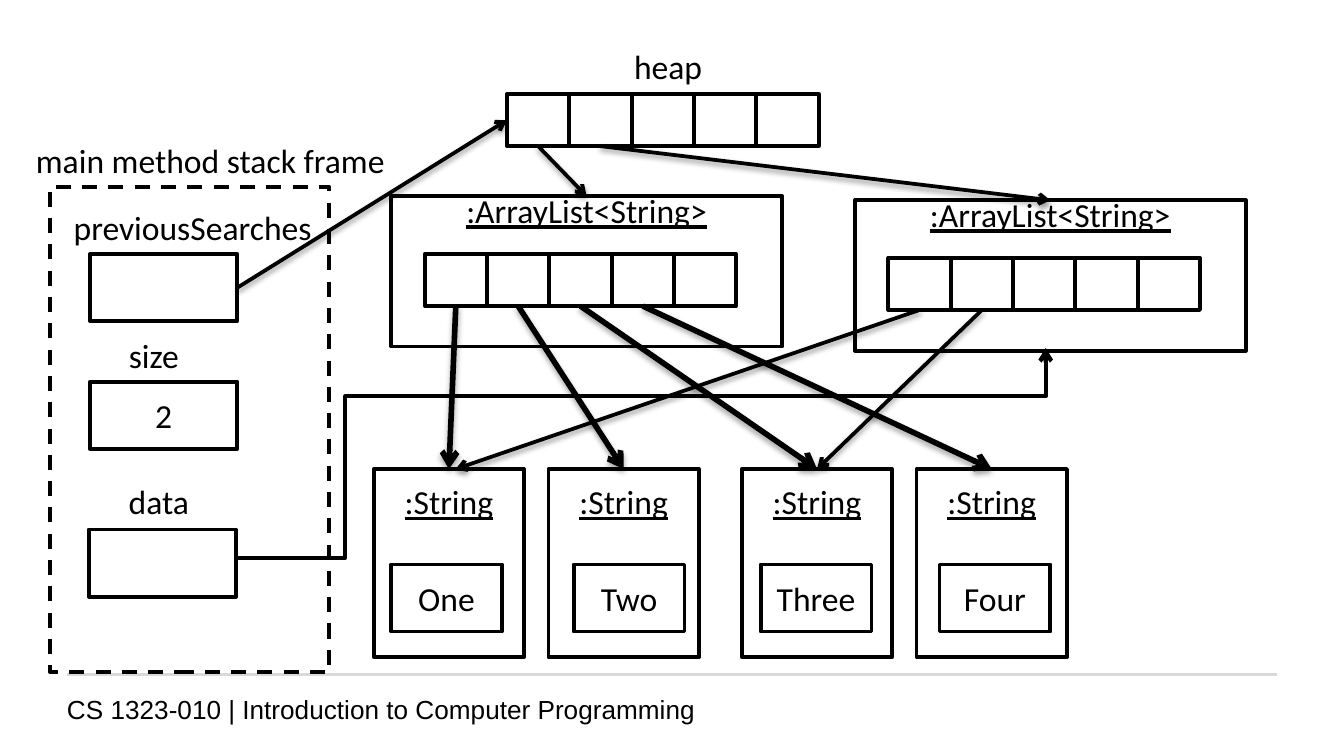
import pptx
import pptx.util
import pptx.dml.color
import pptx.enum.dml
import pptx.enum.shapes
import pptx.enum.text
import pptx.oxml
import pptx.oxml.ns

Pt = pptx.util.Pt
ANCHOR = pptx.enum.text.MSO_ANCHOR
ALIGN = pptx.enum.text.PP_ALIGN
AUTO = pptx.enum.text.MSO_AUTO_SIZE
TOP, LEFT, BOTTOM, RIGHT = range(4)

BLACK, WHITE, GREY = "000000", "FFFFFF", "D9D9D9"
BODY = {"name": "Calibri", "size": Pt(18)}
UNDERLINED = {**BODY, "underline": True}
FOOTER_FONT = {"name": "Arial", "size": Pt(14)}

FOOTER = ("CS 1323-010 | Introduction to Computer Programming", 28.8, 367.9, 648, 15.1)
RULE = (36, 361.4, 684, 361.4)
FRAME = (26.6, 100.1, 149.8, 259.9)
LABELS = [
    ("main method stack frame", 12.2, 71.3, 204.5),
    ("previousSearches", 32.4, 107.3, 144),
    ("size", 61.9, 175.7, 41.8),
    ("data", 61.9, 254.2, 47.5),
    ("heap", 332.6, 20.9, 51.1),
]
FIELDS = {
    "previousSearches": ("", 48.2, 136.1),
    "size": ("2", 48.2, 204.5),
    "data": ("", 47.5, 283.7),
}
FIELD_SIZE = (79, 36)
LISTS = {"first": (209.5, 105.1), "second": (457.9, 107.3)}
LIST_SIZE = (209.5, 80.6)
ARRAYS = {"first": (227.5, 136.1), "second": (475.9, 138.2), "heap": (271.6, 50.4)}
CELL_COUNT, CELL_SIZE = 5, (33.4, 27.9)
STRINGS = [("One", 200.2, 209.5), ("Two", 293.8, 307.4),
           ("Three", 397.4, 407.5), ("Four", 491, 503.3)]
STRING_TOP, STRING_SIZE = 251.3, (80.6, 100.8)
VALUE_TOP, VALUE_SIZE = 302.4, (59.4, 36)
HEADING_SPACE = 66
DATA_PATH = [(126.7, 298.8), (185, 298.8), (185, 212.4), (560.2, 212.4), (560.2, 186.5)]


def color(hex_value):
    return pptx.dml.color.RGBColor.from_string(hex_value)


def apply(target, values):
    for name, value in values.items():
        setattr(target, name, value)


def write(sp, text, font, frame, align):
    tf = sp.text_frame
    apply(tf, frame)
    p = tf.paragraphs[0]
    p.alignment = align
    r = p.add_run()
    r.text = text
    apply(r.font, font)
    r.font.color.rgb = color(BLACK)


def add_label(s, text, x, y, w, h, font, **frame):
    sp = s.shapes.add_textbox(Pt(x), Pt(y), Pt(w), Pt(h))
    write(sp, text, font, frame, ALIGN.LEFT)


def add_box(s, x, y, w, h, text="", font=BODY, fill=WHITE, **frame):
    sp = s.shapes.add_shape(pptx.enum.shapes.MSO_SHAPE.RECTANGLE, Pt(x), Pt(y), Pt(w), Pt(h))
    sp.shadow.inherit = False
    if fill:
        sp.fill.solid()
        sp.fill.fore_color.rgb = color(fill)
    else:
        sp.fill.background()
    set_line(sp, BLACK, 2)
    if text:
        write(sp, text, font, {"vertical_anchor": ANCHOR.MIDDLE, **frame}, ALIGN.CENTER)
    return sp


def add_heading_box(s, x, y, size, text):
    return add_box(s, x, y, *size, text, UNDERLINED, margin_top=0, margin_bottom=Pt(HEADING_SPACE))


def set_line(sp, hex_value, width, arrow=False):
    sp.line.color.rgb = color(hex_value)
    sp.line.width = Pt(width)
    if arrow:
        ln = sp._element.spPr.find(pptx.oxml.ns.qn("a:ln"))
        ln.append(pptx.oxml.parse_xml(f'<a:tailEnd {pptx.oxml.ns.nsdecls("a")} type="arrow"/>'))


def set_effects(sp, shadow=""):
    sp._element.spPr.append(pptx.oxml.parse_xml(
        f'<a:effectLst {pptx.oxml.ns.nsdecls("a")}>{shadow}</a:effectLst>'))


def add_line(s, x1, y1, x2, y2):
    return s.shapes.add_connector(
        pptx.enum.shapes.MSO_CONNECTOR.STRAIGHT, Pt(x1), Pt(y1), Pt(x2), Pt(y2))


def add_arrow(s, start, start_side, end, end_side, width=2, end_point=None):
    c = add_line(s, 0, 0, *(end_point or (0, 0)))
    c.begin_connect(start, start_side)
    if end:
        c.end_connect(end, end_side)
    set_line(c, BLACK, width, arrow=True)
    distance, alpha = (Pt(1.8), 35000) if width == 3 else (Pt(1.6), 38000)
    set_effects(c, f'<a:outerShdw blurRad="{Pt(3.1)}" dist="{distance}" dir="5400000" rotWithShape="0">'
                   f'<a:srgbClr val="{BLACK}"><a:alpha val="{alpha}"/></a:srgbClr></a:outerShdw>')


def main():
    prs = pptx.Presentation()
    prs.slide_width, prs.slide_height = Pt(720), Pt(405)
    s = prs.slides.add_slide(prs.slide_layouts[6])

    add_label(s, *FOOTER, FOOTER_FONT, word_wrap=True)
    rule = add_line(s, *RULE)
    set_line(rule, GREY, 2)
    set_effects(rule)

    lists = {name: add_heading_box(s, x, y, LIST_SIZE, ":ArrayList<String>")
             for name, (x, y) in LISTS.items()}
    arrays = {name: [add_box(s, x + i * CELL_SIZE[0], y, *CELL_SIZE) for i in range(CELL_COUNT)]
              for name, (x, y) in ARRAYS.items()}
    strings = []
    for text, x, value_x in STRINGS:
        strings.append(add_heading_box(s, x, STRING_TOP, STRING_SIZE, ":String"))
        add_box(s, value_x, VALUE_TOP, *VALUE_SIZE, text, margin_left=0, margin_right=0)

    frame = add_box(s, *FRAME, fill=None)
    frame.line.dash_style = pptx.enum.dml.MSO_LINE.DASH
    fields = {name: add_box(s, x, y, *FIELD_SIZE, text) for name, (text, x, y) in FIELDS.items()}
    for text, x, y, w in LABELS:
        add_label(s, text, x, y, w, 29, BODY, word_wrap=False, auto_size=AUTO.SHAPE_TO_FIT_TEXT)

    for cell, string in zip(arrays["first"], strings):
        add_arrow(s, cell, BOTTOM, string, TOP, 3)
    add_arrow(s, fields["previousSearches"], RIGHT, arrays["heap"][0], LEFT)
    for cell, target in zip(arrays["heap"], lists.values()):
        add_arrow(s, cell, BOTTOM, target, TOP)
    add_arrow(s, arrays["second"][0], BOTTOM, None, TOP, end_point=(244.1, STRING_TOP))
    add_arrow(s, arrays["second"][1], BOTTOM, strings[2], TOP)

    points = [(Pt(x), Pt(y)) for x, y in DATA_PATH]
    builder = s.shapes.build_freeform(*points[0])
    builder.add_line_segments(points[1:], close=False)
    data_arrow = builder.convert_to_shape()
    data_arrow.shadow.inherit = False
    data_arrow.fill.background()
    set_line(data_arrow, BLACK, 2.25, arrow=True)

    prs.save("out.pptx")


if __name__ == "__main__":
    main()
